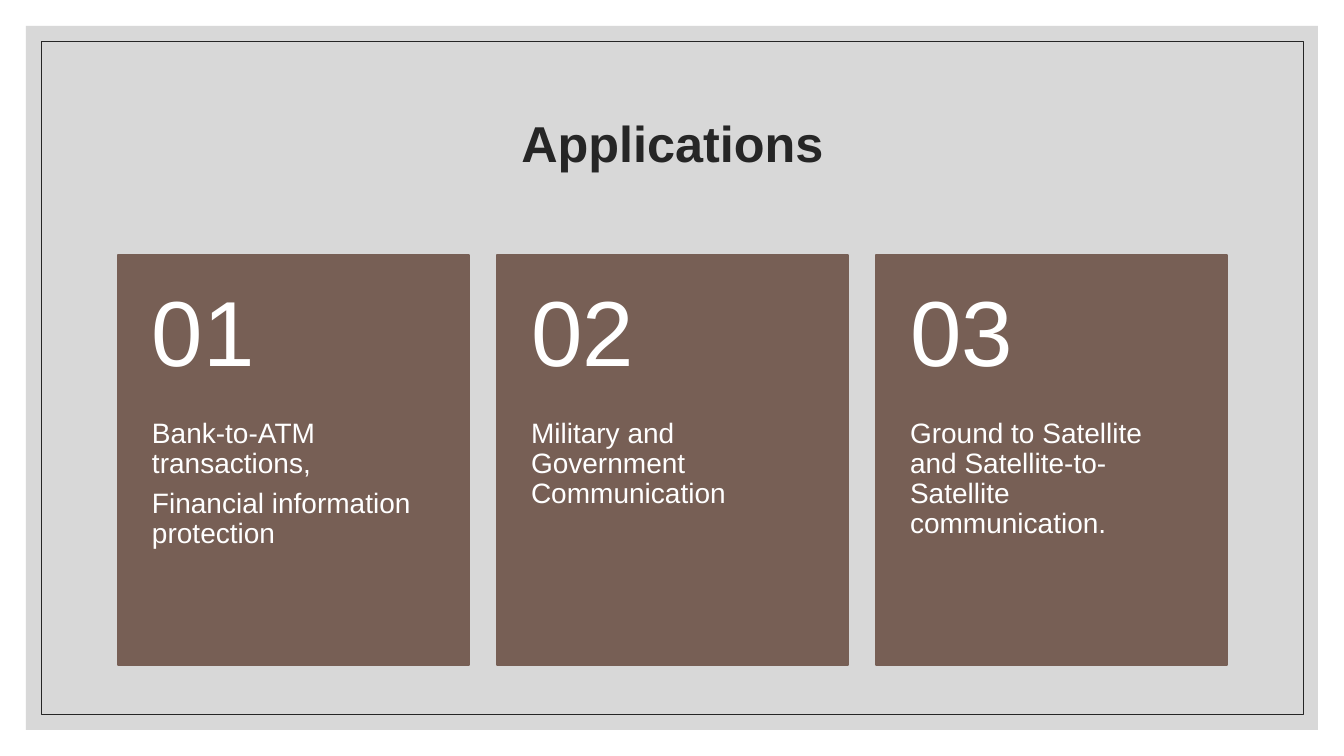
from lxml import etree
from pptx import Presentation
from pptx.dml.color import RGBColor
from pptx.enum.shapes import MSO_SHAPE
from pptx.enum.text import MSO_ANCHOR, PP_ALIGN
from pptx.oxml.ns import qn
from pptx.util import Pt

RECT = MSO_SHAPE.RECTANGLE
TOP, MIDDLE = MSO_ANCHOR.TOP, MSO_ANCHOR.MIDDLE
LEFT, CENTER = PP_ALIGN.LEFT, PP_ALIGN.CENTER
GRAY = RGBColor(0xBF, 0xBF, 0xBF)
DARK = RGBColor(0x26, 0x26, 0x26)
BROWN = RGBColor(0x77, 0x5F, 0x55)
WHITE = RGBColor(0xFF, 0xFF, 0xFF)
SCALE = 914400 / 100.8


def px(*sizes):
    return [round(size * SCALE) for size in sizes]


def add_text(place, lines, size, color, anchor, pads, align=LEFT, bold=False):
    frame = slide.shapes.add_textbox(*px(*place)).text_frame
    frame.word_wrap = True
    frame.vertical_anchor = anchor
    (frame.margin_left, frame.margin_top,
     frame.margin_right, frame.margin_bottom) = px(*pads)
    for i, line in enumerate(lines):
        para = frame.paragraphs[0] if i == 0 else frame.add_paragraph()
        para.alignment = align
        para.line_spacing = 0.9
        if i > 0:
            para.space_before = Pt(7)
        run = para.add_run()
        run.text = line
        run.font.name = "Arial"
        run.font.size = Pt(size)
        run.font.bold = bold
        run.font.color.rgb = color


deck = Presentation()
deck.slide_width, deck.slide_height = px(1344, 756)
slide = deck.slides.add_slide(deck.slide_layouts[6])

panel = slide.shapes.add_shape(RECT, *px(26, 26, 1292, 704))
panel.shadow.inherit = False
panel.fill.solid()
panel.fill.fore_color.rgb = GRAY
panel.line.fill.background()
tint = panel.fill._xPr.find(".//" + qn("a:srgbClr"))
etree.SubElement(tint, qn("a:alpha")).set("val", "60000")

border = slide.shapes.add_shape(RECT, *px(41, 41, 1262, 673))
border.shadow.inherit = False
border.fill.background()
border.line.color.rgb = DARK
border.line.width = Pt(0.5)

add_text((118, 71, 1109, 151), ["Applications"], 36, DARK, MIDDLE,
         (10, 5, 10, 5), CENTER, True)

USES = [
    ["Bank-to-ATM transactions,", "Financial information protection"],
    ["Military and Government Communication"],
    ["Ground to Satellite and Satellite-to-Satellite communication."],
]
for i, lines in enumerate(USES):
    left = 118 + 379 * i
    card = slide.shapes.add_shape(RECT, *px(left, 255, 351, 410))
    card.shadow.inherit = False
    card.fill.solid()
    card.fill.fore_color.rgb = BROWN
    card.line.color.rgb = BROWN
    card.line.width = Pt(1)
    add_text((left, 419, 351, 246), lines, 20, WHITE, TOP, (34, 0, 34, 36))
    add_text((left, 255, 351, 164), [f"{i + 1:02}"], 66, WHITE, MIDDLE,
             (34, 18, 34, 18))

deck.save("out.pptx")
